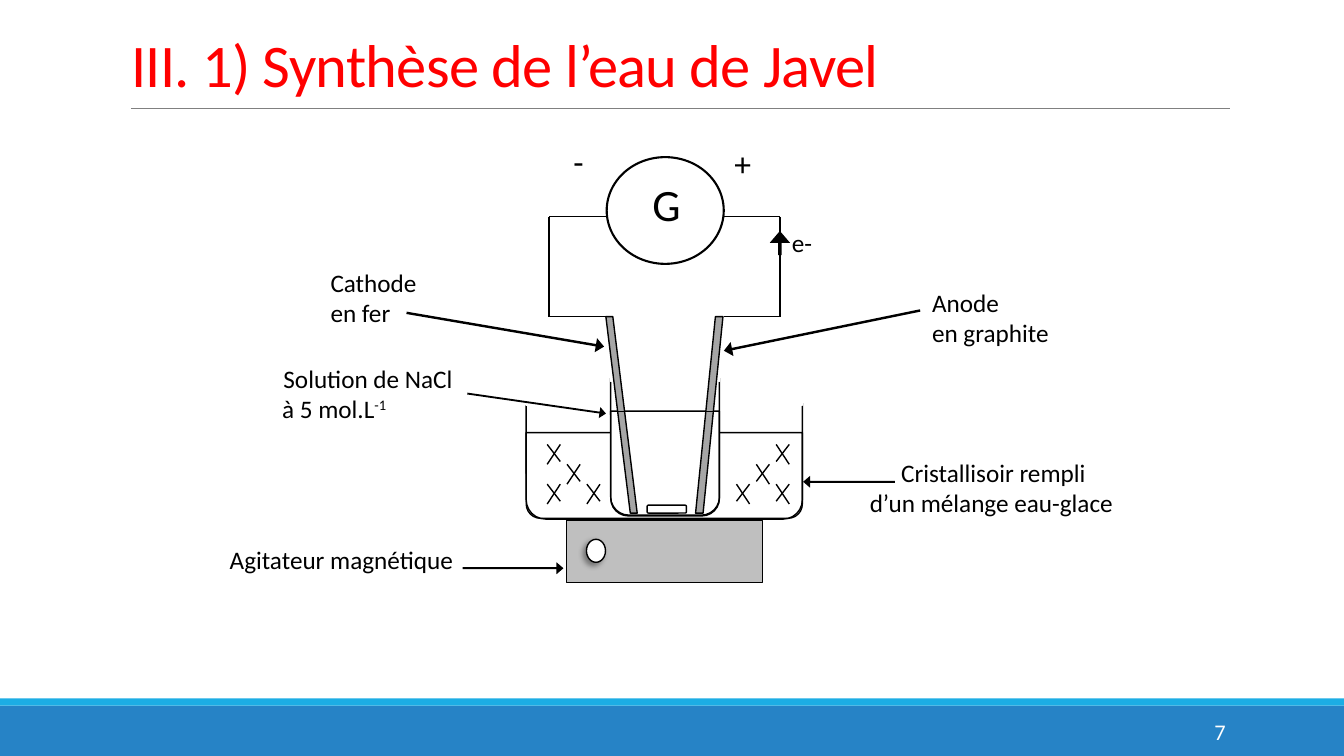
from lxml.etree import SubElement
from pptx import Presentation
from pptx.dml.color import RGBColor
from pptx.enum.shapes import MSO_CONNECTOR as Link, MSO_SHAPE as Kind
from pptx.enum.text import MSO_ANCHOR as Anchor, MSO_AUTO_SIZE as Fit, PP_ALIGN as Align
from pptx.oxml import parse_xml
from pptx.oxml.ns import nsdecls, qn
from pptx.util import Cm, Pt

BLACK, WHITE, GREY = "000000", "FFFFFF", "A6A6A6"
LEFT, MID, RIGHT = Align.LEFT, Align.CENTER, Align.RIGHT


def paint(target, color):
    """Give a fill or a font a solid colour."""
    if hasattr(target, "solid"):
        target.solid()
        target.fore_color.rgb = RGBColor.from_string(color)
    else:
        target.color.rgb = RGBColor.from_string(color)


def style(run, size, color):
    """Format one run of text."""
    run.font.name = "Calibri"
    run.font.size = Pt(size)
    paint(run.font, color)


def shape(slide, kind, box, fill=None, line=BLACK, width=1, turn=0, adjust=()):
    """Add a preset shape, its box in centimetres."""
    item = slide.shapes.add_shape(kind, *map(Cm, box))
    item.shadow.inherit = False
    item.rotation = turn
    for i, value in enumerate(adjust):
        item.adjustments[i] = value
    if fill:
        paint(item.fill, fill)
    else:
        item.fill.background()
    if line:
        paint(item.line.fill, line)
        item.line.width = Pt(width)
    else:
        item.line.fill.background()
    return item


def line(slide, start, end, color=BLACK, width=1):
    """Add a straight line between two points."""
    item = slide.shapes.add_connector(Link.STRAIGHT, *map(Cm, start + end))
    paint(item.line.fill, color)
    item.line.width = Pt(width)
    SubElement(item._element.spPr, qn("a:effectLst"))
    return item


def path(slide, points):
    """Join points with lines."""
    for start, end in zip(points, points[1:]):
        line(slide, start, end)


def label(slide, box, rows, size=18, color=BLACK, align=LEFT, fit=False):
    """Add a text box with one paragraph per row."""
    item = slide.shapes.add_textbox(*map(Cm, box))
    frame = item.text_frame
    frame.text = "\n".join(rows)
    frame.word_wrap = not fit
    frame.auto_size = Fit.SHAPE_TO_FIT_TEXT if fit else Fit.NONE
    frame.paragraphs[0].alignment = align
    for para in frame.paragraphs:
        for run in para.runs:
            style(run, size, color)
    return frame


def arrow(slide, box, turn=0):
    """Add a thin black block arrow."""
    shape(slide, Kind.RIGHT_ARROW, box, BLACK, None, turn=turn, adjust=(0.167, 0.583))


def vessel(slide, x, wide, glass, water, mask):
    """Add an open glass with its water level."""
    for top, high in (glass, water):
        shape(slide, Kind.ROUND_2_SAME_RECTANGLE, (x, top, wide, high), turn=180)
    shape(slide, Kind.RECTANGLE, (x, *mask[:1], wide, mask[1]), WHITE, WHITE)


def title(slide):
    """Fill and place the title."""
    item = slide.shapes.title
    item.left, item.top, item.width, item.height = map(Cm, (3.05, 0.79, 27.94, 1.85))
    frame = item.text_frame
    frame.text = "III. 1) Synthèse de l’eau de Javel"
    frame.vertical_anchor = Anchor.BOTTOM
    frame.auto_size = Fit.NONE
    para = frame.paragraphs[0]
    para.alignment = LEFT
    para.line_spacing = 0.85
    style(para.runs[0], 43.2, "FF0000")
    para.runs[0].font._element.set("spc", "-50")


def decor(slide):
    """Add the rule, the footer bands and the page number."""
    shape(slide, Kind.RECTANGLE, (0, 17.78, 33.87, 1.27), "2683C6", None)
    shape(slide, Kind.RECTANGLE, (0, 17.6, 33.87, 0.18), "1CADE4", None)
    line(slide, (3.3, 2.72), (30.99, 2.72), "808080", 0.5)
    page = label(slide, (27.51, 17.93, 3.63, 1.02), ["7"], 16, WHITE, RIGHT)
    page.vertical_anchor = Anchor.MIDDLE


def tank(slide):
    """Add the glassware, electrodes and stirrer."""
    vessel(slide, 13.26, 6.96, (10.16, 2.92), (10.9, 2.16), (10.06, 0.15))
    shape(slide, Kind.RECTANGLE, (15.42, 10.82, 2.72, 0.2), WHITE, WHITE)
    vessel(slide, 15.39, 2.74, (9.53, 3.45), (10.36, 2.64), (9.42, 0.2))
    rod = shape(slide, Kind.PARALLELOGRAM, (15.27, 7.98, 0.79, 4.95), GREY, adjust=[0.779])
    rod._element.spPr.find(qn("a:xfrm")).set("flipH", "1")
    shape(slide, Kind.PARALLELOGRAM, (17.53, 7.98, 0.69, 4.95), GREY, adjust=[0.726])
    for x in (15.39, 17.73):
        line(slide, (x, 10.36), (x + 0.41, 10.36), width=0.75)
    shape(slide, Kind.RECTANGLE, (14.27, 13.11, 4.95, 1.57), "BFBFBF")
    knob = shape(slide, Kind.OVAL, (14.78, 13.59, 0.48, 0.58), WHITE)
    glow = knob._element.spPr.find(qn("a:effectLst"))
    glow.append(parse_xml(
        f'<a:outerShdw {nsdecls("a")} blurRad="50800" dist="38100" dir="8100000">'
        '<a:srgbClr val="000000"><a:alpha val="40000"/></a:srgbClr></a:outerShdw>'))
    shape(slide, Kind.ROUNDED_RECTANGLE, (16.31, 12.73, 0.99, 0.2), WHITE)


def ice(slide):
    """Add the mirrored ice crosses."""
    for edge, side in ((13.79, 1), (19.89, -1)):
        for col, row in ((0, 0), (1, 1), (2, 2), (0, 2)):
            x, y = edge + side * 0.5 * col, 11.2 + 0.5 * row
            far = x + side * 0.33
            line(slide, (far, y + 0.43), (x, y))
            line(slide, (far, y), (x, y + 0.5))


def circuit(slide):
    """Add the generator and its wires."""
    shape(slide, Kind.OVAL, (15.29, 3.96, 2.95, 2.69), width=1.5)
    label(slide, (18.26, 3.48, 1.27, 1.68), ["+"], 24)
    label(slide, (14.2, 3.43, 1.32, 1.63), ["-"], 24)
    label(slide, (16, 4.34, 1.6, 1.78), ["G"], 32, align=MID)
    for rod, side, pole in ((15.27, 13.84, 15.32), (18.24, 19.66, 18.21)):
        path(slide, [(rod, 7.98), (side, 7.98), (side, 5.46), (pole, 5.46)])


def notes(slide):
    """Add the captions and their arrows."""
    for box, rows, align in (
        ((21.67, 11.4, 6.73, 1.8), ["Cristallisoir rempli", "d’un mélange eau-glace"], MID),
        ((5.54, 13.59, 6.22, 1.02), ["Agitateur magnétique"], LEFT),
        ((23.24, 7.11, 3.51, 1.8), ["Anode", "en graphite"], LEFT),
        ((8.08, 6.6, 2.72, 1.8), ["Cathode", "en fer"], LEFT),
        ((19.71, 5.61, 1.02, 1.02), ["e-"], LEFT),
    ):
        label(slide, box, rows, align=align, fit=True)
    salt = label(slide, (6.86, 9.02, 4.83, 1.8), ["Solution de NaCl", "à 5 mol.L"],
                 align=MID, fit=True)
    power = salt.paragraphs[1].add_run()
    power.text = "-1"
    style(power, 18, BLACK)
    power.font._element.set("baseline", "30000")
    for box, turn in (
        ((11.76, 10.03, 3.53, 0.28), 8.2),
        ((11.66, 14.17, 2.54, 0.3), 0),
        ((20.24, 11.99, 2.31, 0.3), 180),
        ((18.19, 8.15, 5.05, 0.36), 168.4),
        ((10.21, 8.13, 5.05, 0.36), 9.7),
        ((19.35, 5.87, 0.61, 0.51), 270),
    ):
        arrow(slide, box, turn)


def main():
    """Build and save the slide."""
    deck = Presentation()
    deck.slide_width, deck.slide_height = Cm(33.87), Cm(19.05)
    slide = deck.slides.add_slide(deck.slide_layouts[5])
    for part in (decor, title, tank, circuit, ice, notes):
        part(slide)
    deck.save("out.pptx")


if __name__ == "__main__":
    main()
